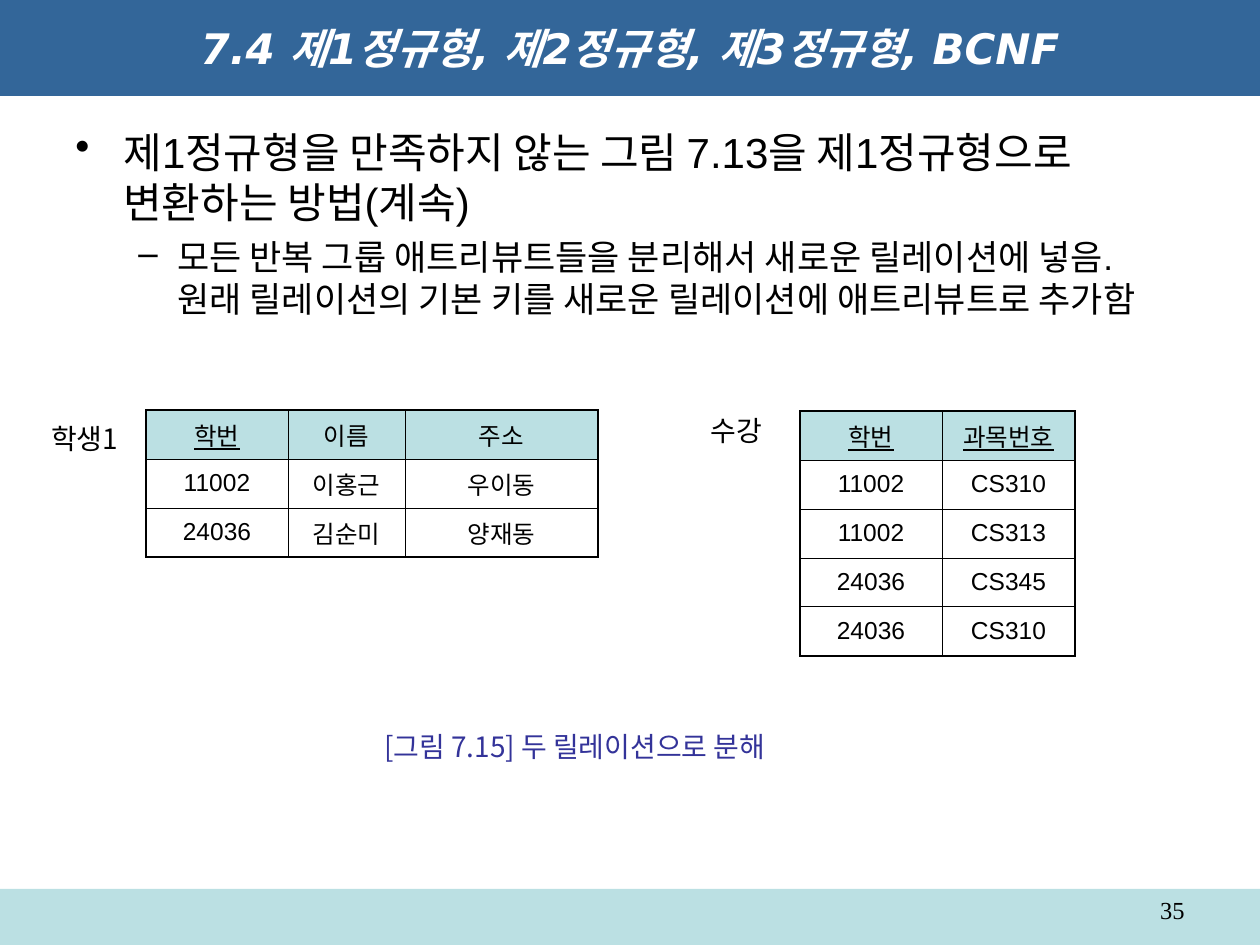
from lxml.etree import SubElement
from pptx import Presentation
from pptx.dml.color import RGBColor
from pptx.enum.shapes import MSO_SHAPE as Shape
from pptx.enum.text import MSO_ANCHOR as Anchor, MSO_AUTO_SIZE as Auto, PP_ALIGN as Align
from pptx.oxml import parse_xml
from pptx.oxml.ns import nsdecls, qn
from pptx.util import Emu, Pt

SCALE = 914400 / 126
NAVY, AQUA, BLACK, WHITE = "336699", "BBE0E3", "000000", "FFFFFF"
hue = RGBColor.from_string


def px(*sizes):
    return [Emu(round(size * SCALE)) for size in sizes]


def write(par, text, size, face="Arial", color=BLACK, align=Align.LEFT,
          bold=False, italic=False, line=False):
    par.alignment = align
    run = par.add_run()
    run.text = text
    font = run.font
    font.name, font.size = face, Pt(size)
    font.bold, font.italic, font.underline = bold, italic, line
    font.color.rgb = hue(color)


deck = Presentation()
deck.slide_width, deck.slide_height = px(1260, 945)
slide = deck.slides.add_slide(deck.slide_layouts[6])
shapes = slide.shapes

# Bands at the foot and the head
for top, high, fill in [(889, 56, AQUA), (0, 96, NAVY)]:
    band = shapes.add_shape(Shape.RECTANGLE, *px(0, top, 1260, high))
    band.shadow.inherit = False
    band.fill.solid()
    band.fill.fore_color.rgb = hue(fill)
    band.line.fill.background()
band.text_frame.vertical_anchor = Anchor.MIDDLE
write(band.text_frame.paragraphs[0], "7.4 제1정규형, 제2정규형, 제3정규형, BCNF", 24,
      face="DejaVu Sans", color=WHITE, align=Align.CENTER, bold=True, italic=True)

# Bulleted text
body = shapes.add_textbox(*px(63, 120, 1134, 750)).text_frame
body.word_wrap = True
points = [
    ("제1정규형을 만족하지 않는 그림 7.13을 제1정규형으로 변환하는 방법(계속)", 24, "•", 48, 48),
    ("모든 반복 그룹 애트리뷰트들을 분리해서 새로운 릴레이션에 넣음. "
     "원래 릴레이션의 기본 키를 새로운 릴레이션에 애트리뷰트로 추가함", 20, "–", 102, 39),
]
for level, (text, size, mark, left, hang) in enumerate(points):
    par = body.add_paragraph() if level else body.paragraphs[0]
    par.level = level
    if level:
        par.space_before = Pt(5)
    props = par._p.get_or_add_pPr()
    margin, indent = px(left, -hang)
    props.set("marL", str(margin))
    props.set("indent", str(indent))
    SubElement(props, qn("a:buChar"), char=mark)
    write(par, text, size)

# Page number
page = shapes.add_textbox(*px(903, 889, 294, 37)).text_frame
page.word_wrap = True
write(page.paragraphs[0], "35", 14, face="Times New Roman", align=Align.RIGHT)

# Relations
tables = [
    (146, 410, [142, 117, 193], [
        ["학번", "이름", "주소"],
        ["11002", "이홍근", "우이동"],
        ["24036", "김순미", "양재동"]], {"학번"}),
    (800, 411, [142, 133], [
        ["학번", "과목번호"],
        ["11002", "CS310"],
        ["11002", "CS313"],
        ["24036", "CS345"],
        ["24036", "CS310"]], {"학번", "과목번호"}),
]
ROW = 49
for left, top, widths, rows, keys in tables:
    high, wide = len(rows), len(widths)
    frame = shapes.add_table(high, wide, *px(left, top, sum(widths), ROW * high))
    table = frame.table
    for col, width in zip(table.columns, px(*widths)):
        col.width = width
    for r, row in enumerate(rows):
        for c, text in enumerate(row):
            cell = table.cell(r, c)
            cell.vertical_anchor = Anchor.MIDDLE
            if r == 0:
                cell.fill.solid()
                cell.fill.fore_color.rgb = hue(AQUA)
            else:
                cell.fill.background()
            write(cell.text_frame.paragraphs[0], text, 14, align=Align.CENTER,
                  line=text in keys)
            outer = {"L": c == 0, "R": c == wide - 1, "T": r == 0, "B": r == high - 1}
            for spot, (side, edge) in enumerate(outer.items()):
                rule = parse_xml(
                    f'<a:ln{side} {nsdecls("a")} w="{Pt(1.08 if edge else 0.45)}">'
                    f'<a:solidFill><a:srgbClr val="{BLACK}"/></a:solidFill></a:ln{side}>')
                cell._tc.get_or_add_tcPr().insert(spot, rule)

# Relation names and caption
labels = [
    ("학생1", 39, 415, 102, "Noto Sans CJK JP", BLACK),
    ("수강", 698, 407, 79, "Noto Sans CJK JP", BLACK),
    ("[그림 7.15] 두 릴레이션으로 분해", 372, 723, 449, "Noto Sans CJK KR", "333399"),
]
for text, left, top, width, face, color in labels:
    label = shapes.add_textbox(*px(left, top, width, 47)).text_frame
    label.word_wrap = False
    label.auto_size = Auto.SHAPE_TO_FIT_TEXT
    write(label.paragraphs[0], text, 16, face=face, color=color)

deck.save("out.pptx")
